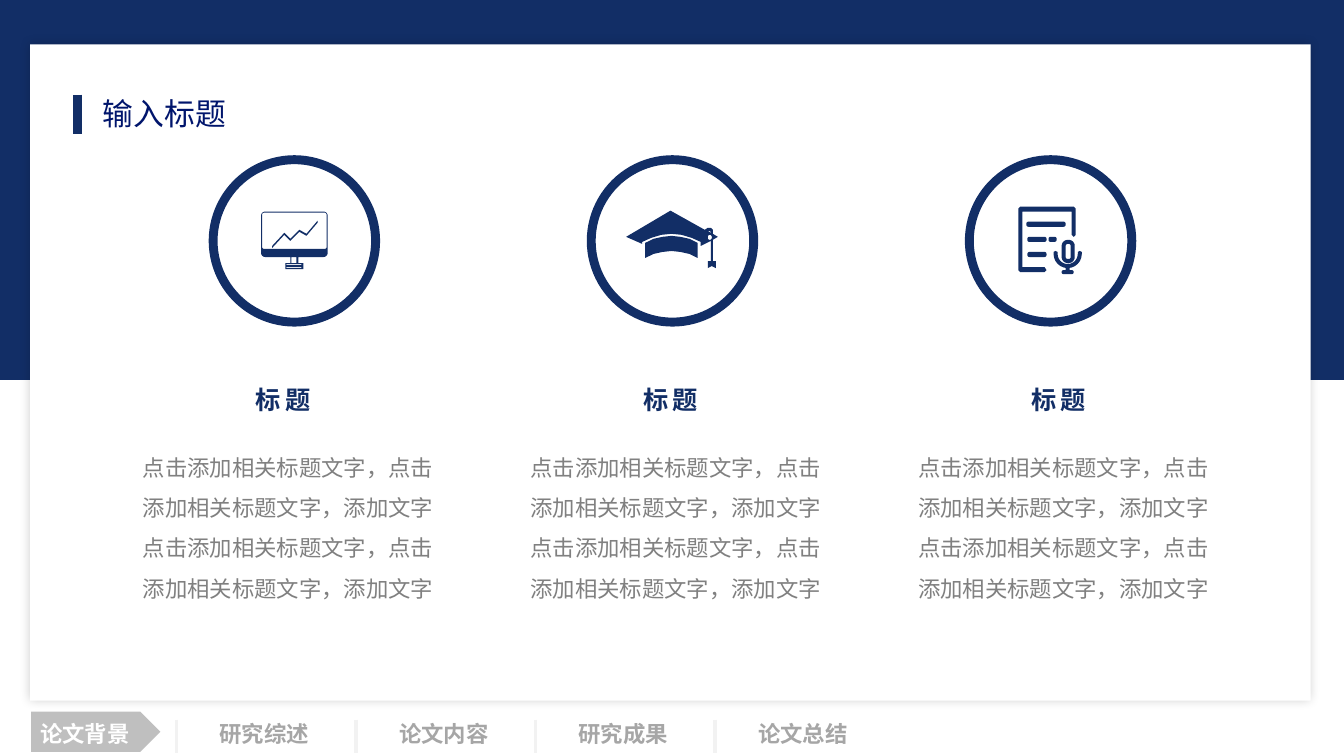
from math import cos, radians, sin

from lxml import etree
from pptx import Presentation
from pptx.dml.color import RGBColor
from pptx.enum.shapes import MSO_CONNECTOR as Connector, MSO_SHAPE as Shape
from pptx.enum.text import MSO_ANCHOR as Anchor, MSO_AUTO_SIZE as AutoSize, PP_ALIGN as Align
from pptx.oxml.ns import qn
from pptx.util import Inches, Pt

# Content
TITLE = "输入标题"
HEADING = "标题"
BODY = ["点击添加相关标题文字，点击添加相关标题文字，添加文字"] * 2
SECTIONS = ["论文背景", "研究综述", "论文内容", "研究成果", "论文总结"]
FONT = "Noto Sans CJK SC"
COLORS = {"navy": "122E66", "title": "00156C", "white": "FFFFFF", "body": "808080",
          "tab": "BFBFBF", "section": "A6A6A6", "divider": "F2F2F2", "shadow": "000000"}


# Icon outlines, in inches on the slide
def arc(cx, cy, radius, start, end, steps=12):
    angles = [radians(start + (end - start) * i / steps) for i in range(steps + 1)]
    return [(cx + radius * cos(a), cy + radius * sin(a)) for a in angles]


def box(x, y, w, h, radius=0.0):
    if not radius:
        return [(x, y), (x + w, y), (x + w, y + h), (x, y + h)]
    left, right, top, bottom = x + radius, x + w - radius, y + radius, y + h - radius
    corners = [(left, top, 180), (right, top, 270), (right, bottom, 0), (left, bottom, 90)]
    return [p for cx, cy, a in corners for p in arc(cx, cy, radius, a, a + 90, 6)]


def mirrored(points, axis):
    return points + [(2 * axis - x, y) for x, y in reversed(points[:-1])]


def band(points, thickness):
    return points + [(x, y + thickness) for x, y in reversed(points)]


trend = [(2.7, 2.44), (2.82, 2.31), (2.88, 2.37), (2.97, 2.28), (3.04, 2.32), (3.15, 2.19)]
monitor = [
    box(2.59, 2.1, 0.66, 0.45, 0.04), box(2.6, 2.11, 0.64, 0.36, 0.02), band(trend, 0.02),
    box(2.88, 2.55, 0.08, 0.06), box(2.89, 2.55, 0.05, 0.06),
    box(2.83, 2.61, 0.18, 0.06), box(2.84, 2.62, 0.15, 0.01), box(2.84, 2.65, 0.15, 0.01),
]

cap_brow = mirrored([(6.4, 2.41), (6.48, 2.37), (6.57, 2.35), (6.66, 2.34)], 6.66)
cap_edge = mirrored([(6.37, 2.4), (6.46, 2.36), (6.56, 2.33), (6.66, 2.32)], 6.66)
graduation_cap = [
    band(cap_brow, 0.15),
    [(6.65, 2.09), (6.99, 2.28), (7.02, 2.26), (7.05, 2.26), (7.07, 2.28), (7.07, 2.32),
     (7.12, 2.35), (7.07, 2.38), (7.07, 2.59), (7.1, 2.59), (7.1, 2.66), (7.06, 2.64),
     (7.02, 2.66), (7.02, 2.59), (7.05, 2.59), (7.05, 2.39), (6.95, 2.44)]
    + cap_edge[::-1] + [(6.37, 2.42), (6.21, 2.35)],
    box(7.02, 2.33, 0.04, 0.05, 0.02),
    [(7.02, 2.29), (7.04, 2.29), (7.05, 2.3), (7.05, 2.31)],
]

script_lines = [(10.18, 2.2, 0.39), (10.19, 2.35, 0.19), (10.19, 2.5, 0.19), (10.4, 2.35, 0.08)]
speech = [
    [(10.1, 2.07), (10.12, 2.05), (10.65, 2.05), (10.67, 2.07), (10.67, 2.33), (10.65, 2.35),
     (10.63, 2.33), (10.63, 2.1), (10.14, 2.1), (10.14, 2.65), (10.36, 2.65), (10.38, 2.68),
     (10.36, 2.7), (10.12, 2.7), (10.1, 2.68)],
    *[box(x, y, w, 0.05, 0.02) for x, y, w in script_lines],
    box(10.53, 2.38, 0.13, 0.23, 0.06), box(10.57, 2.42, 0.05, 0.15, 0.02),
    [(10.73, 2.5)] + arc(10.59, 2.52, 0.14, 0, 180) + [(10.45, 2.5), (10.47, 2.49), (10.49, 2.5)]
    + arc(10.59, 2.52, 0.1, 180, 0) + [(10.69, 2.5), (10.71, 2.49)],
    box(10.57, 2.66, 0.04, 0.02), box(10.53, 2.68, 0.12, 0.04, 0.02),
]
ICONS = [monitor, graduation_cap, speech]

prs = Presentation()
prs.slide_width, prs.slide_height = Inches(13.33), Inches(7.5)
slide = prs.slides.add_slide(prs.slide_layouts[5])
shapes = slide.shapes


# Drawing helpers
def paint(part, color):
    part.shadow.inherit = False
    part.fill.solid()
    part.fill.fore_color.rgb = RGBColor.from_string(COLORS[color])
    part.line.fill.background()
    return part


def add_block(kind, x, y, w, h, color):
    return paint(shapes.add_shape(kind, Inches(x), Inches(y), Inches(w), Inches(h)), color)


def add_icon(outlines):
    def scaled(points):
        return [(Inches(x), Inches(y)) for x, y in points]

    first, *others = map(scaled, outlines)
    builder = shapes.build_freeform(*first[0])
    builder.add_line_segments(first[1:], close=True)
    for outline in others:
        builder.move_to(*outline[0])
        builder.add_line_segments(outline[1:], close=True)
    return paint(builder.convert_to_shape(), "navy")


def add_rule(x, top, bottom, color, width):
    rule = shapes.add_connector(Connector.STRAIGHT, Inches(x), Inches(top), Inches(x), Inches(bottom))
    rule.line.color.rgb = RGBColor.from_string(COLORS[color])
    rule.line.width = Pt(width)
    etree.SubElement(rule._element.spPr, qn("a:effectLst"))


def write(frame, lines, size, color, bold=False, wrap=True, line_spacing=1.0, tracking=0):
    frame.word_wrap = wrap
    frame.auto_size = AutoSize.SHAPE_TO_FIT_TEXT
    frame.vertical_anchor = Anchor.TOP
    for i, line in enumerate(lines):
        paragraph = frame.add_paragraph() if i else frame.paragraphs[0]
        paragraph.alignment = Align.LEFT
        paragraph.line_spacing = line_spacing
        run = paragraph.add_run()
        run.text = line
        run.font.size, run.font.bold, run.font.name = Pt(size), bold, FONT
        run.font.color.rgb = RGBColor.from_string(COLORS[color])
        properties = run._r.get_or_add_rPr()
        etree.SubElement(properties, qn("a:ea"), typeface=FONT)
        if tracking:
            properties.set("spc", str(tracking * 100))


def add_text(x, y, w, h, *args, **style):
    write(shapes.add_textbox(Inches(x), Inches(y), Inches(w), Inches(h)).text_frame, *args, **style)


# Backdrop and card with a soft shadow
add_block(Shape.RECTANGLE, 0, 0, 13.33, 3.77, "navy")
card = add_block(Shape.RECTANGLE, 0.3, 0.44, 12.7, 6.51, "white")
effects = card._element.spPr.find(qn("a:effectLst"))
glow = etree.SubElement(effects, qn("a:outerShdw"), blurRad=str(Pt(8)), dist="0", dir="0",
                        algn="ctr", rotWithShape="0")
glow_color = etree.SubElement(glow, qn("a:srgbClr"), val=COLORS["shadow"])
etree.SubElement(glow_color, qn("a:alpha"), val="20000")

# Three columns: ring, icon, heading, body
RING_STEP, TEXT_STEP = 3.75, 3.845
for column, icon in enumerate(ICONS):
    ring = add_block(Shape.DONUT, 2.07 + column * RING_STEP, 1.54, 1.7, 1.7, "navy")
    ring.adjustments[0] = 0.052
    add_icon(icon)
    shift = column * TEXT_STEP
    add_text(2.44 + shift, 3.61, 0.96, 0.51, [HEADING], 18, "navy", bold=True,
             line_spacing=1.5, tracking=3)
    add_text(1.32 + shift, 4.32, 3.2, 1.67, BODY, 16, "body", line_spacing=1.5)

# Section navigation, first section active
SECTION_STEP = 1.78
add_block(Shape.PENTAGON, 0.31, 7.06, 1.28, 0.4, "tab")
for i, section in enumerate(SECTIONS):
    x = 0.3 + i * SECTION_STEP
    add_text(x, 7.1, 1.12, 0.37, [section], 16, "section" if i else "white", bold=True, wrap=False)
    if i:
        add_rule(x - 0.33, 7.14, 7.47, "divider", 2.5)

# Title with its accent bar, brought in front of the card
add_rule(0.77, 0.94, 1.33, "navy", 6.25)
title = shapes.title
title.left, title.top, title.width, title.height = map(Inches, (0.92, 0.89, 4.04, 0.47))
write(title.text_frame, [TITLE], 22, "title")
title._element.getparent().append(title._element)

prs.save("out.pptx")
